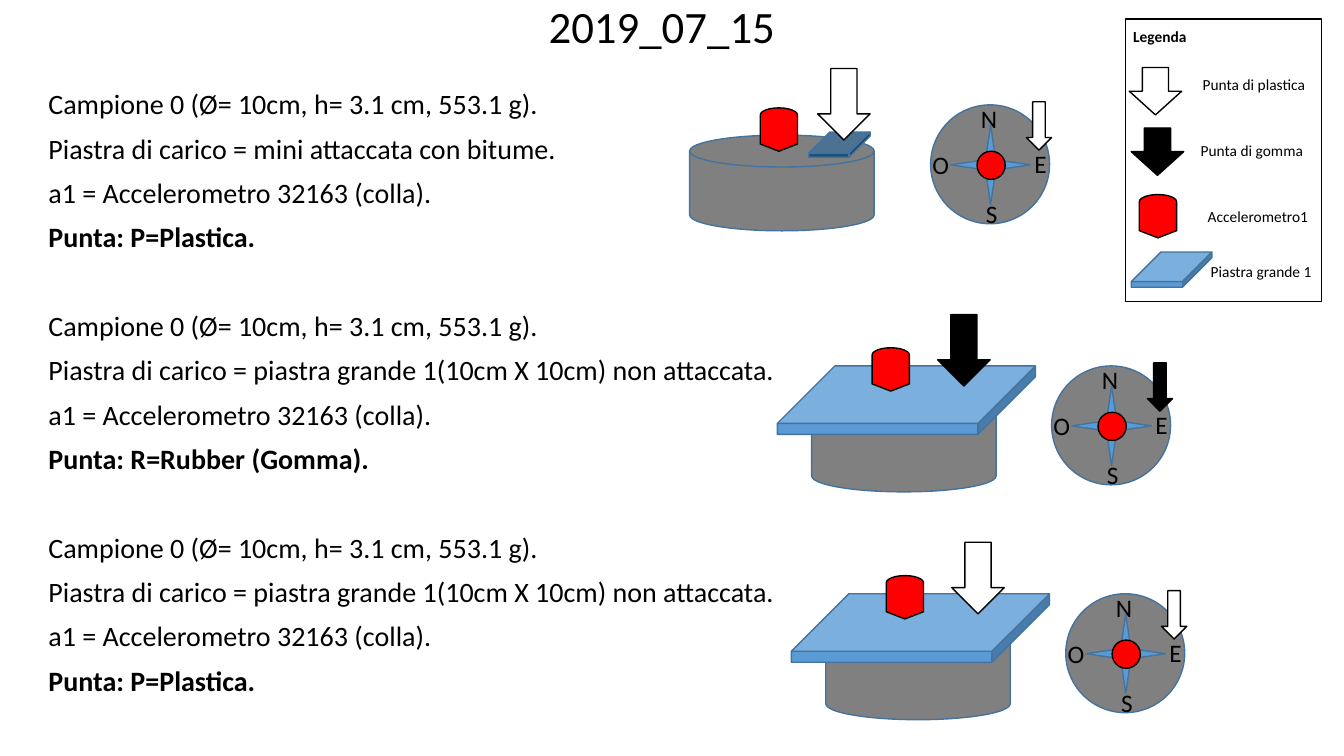
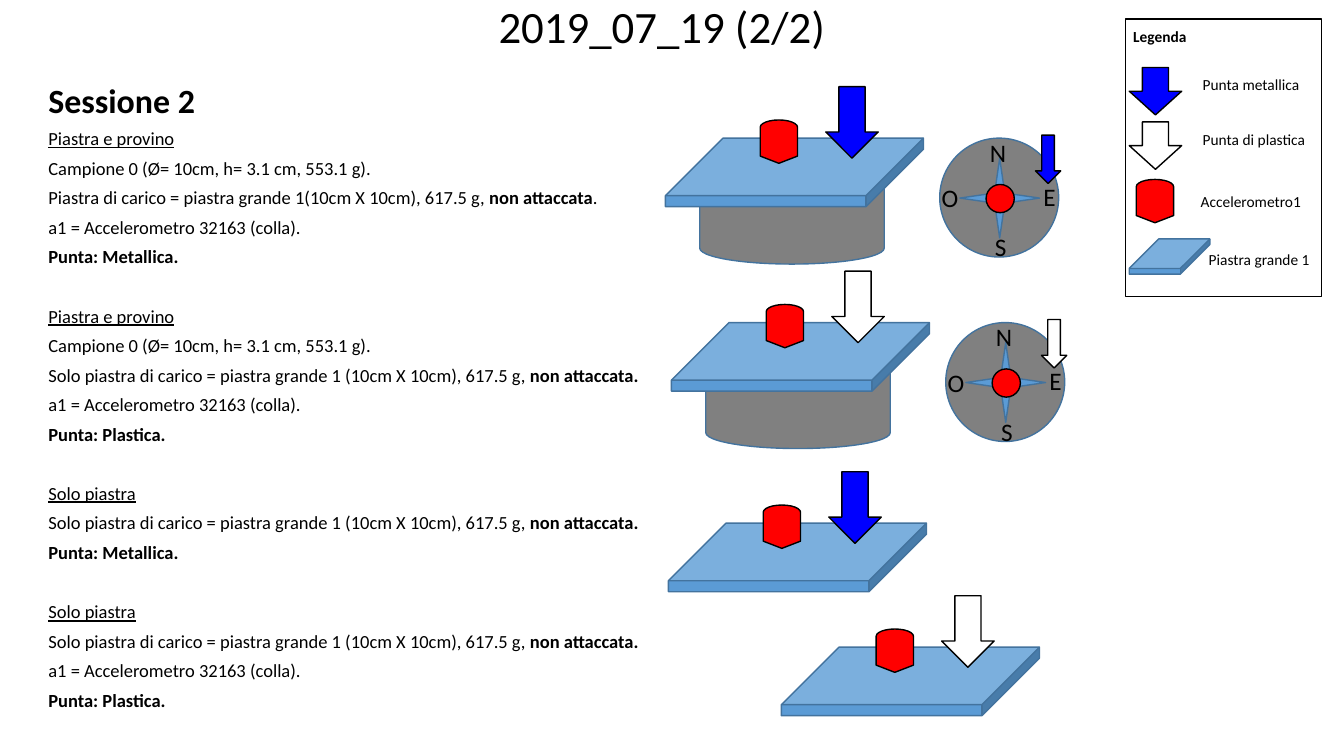
import pptx
import pptx.util
import pptx.dml.color
import pptx.enum.shapes
import pptx.enum.text

Inches, Pt = pptx.util.Inches, pptx.util.Pt
SHAPE = pptx.enum.shapes.MSO_SHAPE
ALIGN = pptx.enum.text.PP_ALIGN

FONT = "Calibri"
COLORS = {
    "text": "000000", "outline": "000000", "edge": "43739E",
    "sample": "808080", "plate": "5B9BD5", "mini_plate": "1F4E79",
    "accelerometer": "FF0000",
    "plastic": "FFFFFF", "rubber": "000000", "metal": "0000FF",
}
PARAGRAPH_GAP = 10

# Wording used more than once
SAMPLE = "Campione 0 (Ø= 10cm, h= 3.1 cm, 553.1 g)."
ACCELEROMETER = "a1 = Accelerometro 32163 (colla)."
LARGE_PLATE = "Piastra di carico = piastra grande 1(10cm X 10cm) non attaccata."
ONLY_PLATE = ("Solo piastra di carico = piastra grande 1 (10cm X 10cm), 617.5 g, "
              "|non attaccata.")


def color(name):
    return pptx.dml.color.RGBColor.from_string(COLORS[name])


def format_run(run, size, bold=False, underline=False):
    run.font.name = FONT
    run.font.size = Pt(size)
    run.font.bold = bold
    run.font.underline = underline
    run.font.color.rgb = color("text")


def place(shape, left, top, width, height):
    shape.left, shape.top = Inches(left), Inches(top)
    shape.width, shape.height = Inches(width), Inches(height)


def add_figure(slide, kind, left, top, width, height, fill, line="edge", adjustment=None):
    shape = slide.shapes.add_shape(
        kind, Inches(left), Inches(top), Inches(width), Inches(height))
    shape.shadow.inherit = False
    if fill:
        shape.fill.solid()
        shape.fill.fore_color.rgb = color(fill)
    else:
        shape.fill.background()
    shape.line.color.rgb = color(line)
    shape.line.width = Pt(1)
    if adjustment is not None:
        shape.adjustments[0] = adjustment
    return shape


def add_label(slide, text, left, top, width, height, size, bold=False):
    box = slide.shapes.add_textbox(
        Inches(left), Inches(top), Inches(width), Inches(height))
    box.text_frame.word_wrap = True
    box.text_frame.text = text
    format_run(box.text_frame.paragraphs[0].runs[0], size, bold)


# Parts of the test set-up
def add_arrow(slide, left, top, tip, width=0.52, height=0.71):
    add_figure(slide, SHAPE.DOWN_ARROW, left, top, width, height, tip, "outline")


def add_accelerometer(slide, left, top):
    shape = add_figure(slide, SHAPE.FLOWCHART_DISPLAY, left, top, 0.43, 0.37,
                       "accelerometer", "outline")
    shape.rotation = 270


def add_plate(slide, left, top, width=2.56, height=0.68, fill="plate"):
    add_figure(slide, SHAPE.CUBE, left, top, width, height, fill, adjustment=0.84)


def add_sample(slide, left, top):
    add_figure(slide, SHAPE.FLOWCHART_MAGNETIC_DISK, left, top, 1.83, 0.95, "sample")


def add_compass(slide, left, top, tip):
    add_figure(slide, SHAPE.OVAL, left, top, 1.18, 1.18, "sample")
    add_figure(slide, SHAPE.STAR_4_POINT, left + 0.2, top + 0.2, 0.79, 0.79,
               "plate", adjustment=0.09)
    for letter, across, down in (("N", 0.4, -0.06), ("O", -0.08, 0.39),
                                 ("E", 0.93, 0.38), ("S", 0.45, 0.88)):
        add_label(slide, letter, left + across, top + down, 0.39, 0.4, 18)
    add_arrow(slide, left + 0.95, top - 0.03, tip, 0.25, 0.48)
    add_figure(slide, SHAPE.FLOWCHART_CONNECTOR, left + 0.46, top + 0.46, 0.28, 0.28,
               "accelerometer", "outline")


# Whole set-ups, placed from the top left corner of the large plate
def add_plate_test(slide, left, top, tip):
    add_plate(slide, left, top)
    add_arrow(slide, left + 1.59, top - 0.51, tip)
    add_accelerometer(slide, left + 0.91, top - 0.15)


def add_sample_test(slide, left, top, tip):
    add_sample(slide, left + 0.34, top + 0.3)
    add_compass(slide, left + 2.72, top, tip)
    add_plate_test(slide, left, top, tip)


def add_mini_plate_test(slide, left, top, tip):
    add_sample(slide, left + 0.34, top + 0.3)
    add_compass(slide, left + 2.73, top, tip)
    add_plate(slide, left + 1.52, top + 0.27, 0.61, 0.25, "mini_plate")
    add_arrow(slide, left + 1.61, top - 0.36, tip)
    add_accelerometer(slide, left + 1.01, top + 0.06)


def add_legend(slide, left, top, height, entries):
    add_figure(slide, SHAPE.RECTANGLE, left, top, 1.95, height, None, "outline")
    add_label(slide, "Legenda", left - 0.02, top + 0.03, 1.3, 0.29, 11, bold=True)
    for symbol, across, down, text, text_across, text_down in entries:
        if symbol == "plate":
            add_plate(slide, left + across, top + down, 0.8, 0.35)
        elif symbol == "accelerometer":
            add_accelerometer(slide, left + across, top + down)
        else:
            add_arrow(slide, left + across, top + down, symbol, height=0.47)
        add_label(slide, text, left + text_across, top + text_down, 1.3, 0.29, 11)


# Title and body placeholders
def fill_title(title, text):
    place(title, 0, 0, 13.33, 0.85)
    frame = title.text_frame
    frame.text = text
    frame.auto_size = pptx.enum.text.MSO_AUTO_SIZE.NONE
    frame.vertical_anchor = pptx.enum.text.MSO_ANCHOR.TOP
    frame.margin_right = Inches(0.3)
    paragraph = frame.paragraphs[0]
    paragraph.alignment = ALIGN.CENTER
    paragraph.line_spacing = 0.9
    format_run(paragraph.runs[0], 32)


def fill_body(body, groups, size, line_spacing, session=None):
    """Bars switch bold on and off; with a session, each group opens with a heading."""
    place(body, 0.38, 0.85, 12.59, 6.52)
    frame = body.text_frame
    frame.auto_size = pptx.enum.text.MSO_AUTO_SIZE.NONE
    frame.vertical_anchor = pptx.enum.text.MSO_ANCHOR.TOP
    group_gap = 2 * PARAGRAPH_GAP + size * 1.22 * line_spacing
    lines = [("|" + session, 24.2, False, 0)] if session else []
    for group_index, group in enumerate(groups):
        for index, text in enumerate(group):
            gap = group_gap if group_index and not index else PARAGRAPH_GAP
            lines.append((text, size, bool(session) and not index, gap))
    for index, (text, run_size, underline, gap) in enumerate(lines):
        paragraph = frame.add_paragraph() if index else frame.paragraphs[0]
        paragraph.alignment = ALIGN.LEFT
        paragraph.line_spacing = line_spacing
        paragraph.space_before = Pt(gap if index else 0)
        for part_index, part in enumerate(text.split("|")):
            if part:
                run = paragraph.add_run()
                run.text = part
                format_run(run, run_size, part_index % 2 == 1, underline)


def add_test_slide(presentation, title, groups, size, line_spacing, tests,
                   legend_height, legend, session=None):
    slide = presentation.slides.add_slide(presentation.slide_layouts[0])
    fill_title(slide.shapes.title, title)
    fill_body(slide.placeholders[1], groups, size, line_spacing, session)
    for add_test, left, top, tip in tests:
        add_test(slide, left, top, tip)
    add_legend(slide, 11.16, 0.19, legend_height, legend)


def main():
    presentation = pptx.Presentation()
    presentation.slide_width = Inches(13.33)
    presentation.slide_height = Inches(7.5)

    add_test_slide(
        presentation, "2019_07_15",
        groups=[
            [SAMPLE, "Piastra di carico = mini attaccata con bitume.",
             ACCELEROMETER, "|Punta: P=Plastica."],
            [SAMPLE, LARGE_PLATE, ACCELEROMETER, "|Punta: R=Rubber (Gomma)."],
            [SAMPLE, LARGE_PLATE, ACCELEROMETER, "|Punta: P=Plastica."],
        ],
        size=20, line_spacing=0.9,
        tests=[(add_mini_plate_test, 6.5, 1.04, "plastic"),
               (add_sample_test, 7.71, 3.63, "rubber"),
               (add_sample_test, 7.85, 5.89, "plastic")],
        legend_height=2.8,
        legend=[("plastic", 0.04, 0.48, "Punta di plastica", 0.67, 0.51),
                ("rubber", 0.06, 1.08, "Punta di gomma", 0.65, 1.16),
                ("accelerometer", 0.11, 1.77, "Accelerometro1", 0.72, 1.82),
                ("plate", 0.06, 2.31, "Piastra grande 1", 0.75, 2.36)])

    add_test_slide(
        presentation, "2019_07_19 (2/2)", session="Sessione 2",
        groups=[
            ["Piastra e provino", SAMPLE,
             "Piastra di carico = piastra grande 1(10cm X 10cm), 617.5 g, |non attaccata|.",
             ACCELEROMETER, "|Punta: Metallica."],
            ["Piastra e provino", SAMPLE, ONLY_PLATE, ACCELEROMETER, "|Punta: Plastica."],
            ["Solo piastra", ONLY_PLATE, "|Punta: Metallica."],
            ["Solo piastra", ONLY_PLATE, ACCELEROMETER, "|Punta: Plastica."],
        ],
        size=13.2, line_spacing=0.7,
        tests=[(add_sample_test, 6.6, 1.37, "metal"),
               (add_sample_test, 6.66, 3.2, "plastic"),
               (add_plate_test, 6.63, 5.19, "metal"),
               (add_plate_test, 7.75, 6.42, "plastic")],
        legend_height=2.75,
        legend=[("metal", 0.04, 0.48, "Punta metallica", 0.67, 0.51),
                ("plastic", 0.04, 1.02, "Punta di plastica", 0.67, 1.05),
                ("accelerometer", 0.08, 1.62, "Accelerometro1", 0.65, 1.67),
                ("plate", 0.04, 2.18, "Piastra grande 1", 0.73, 2.24)])

    presentation.save("out.pptx")


if __name__ == "__main__":
    main()
